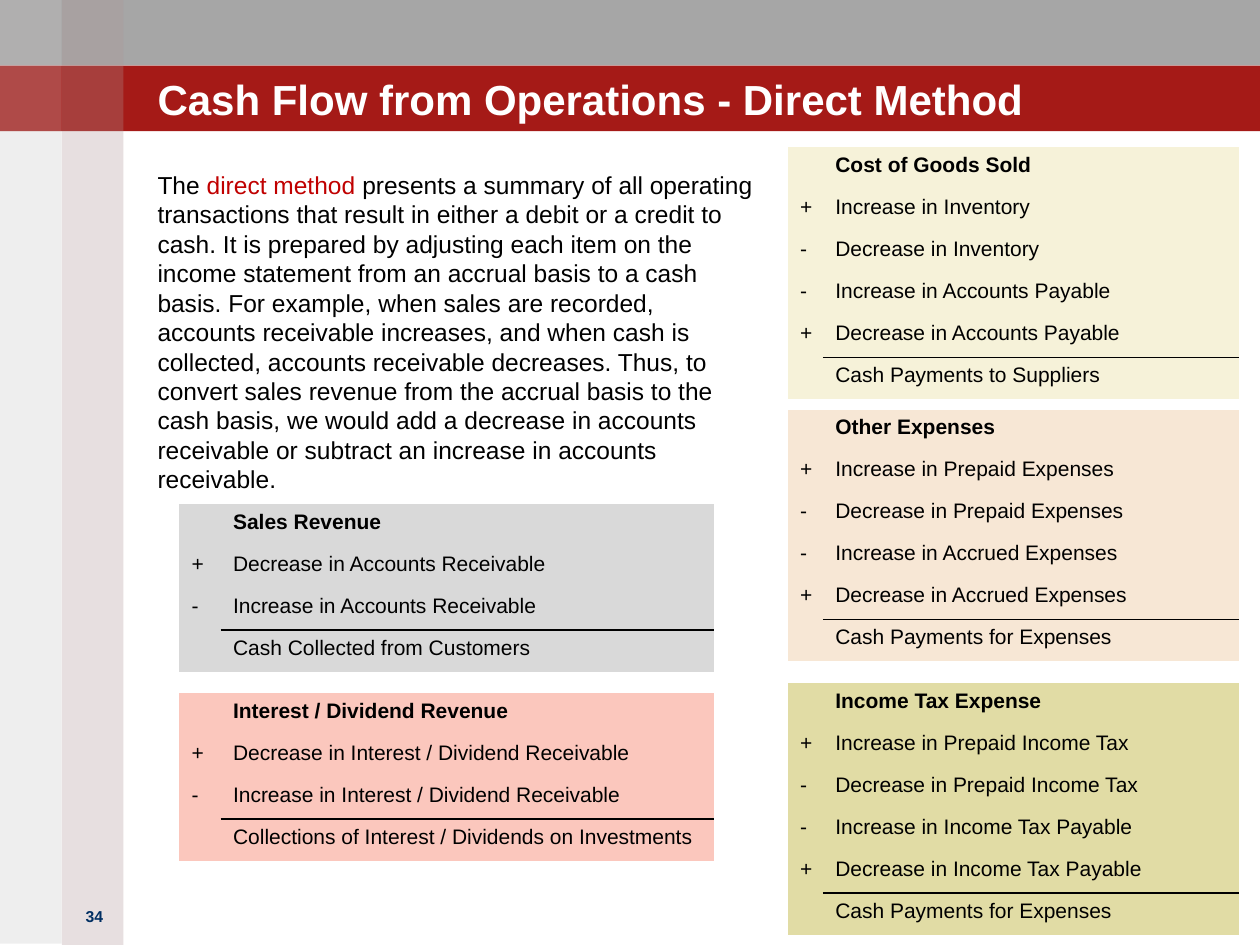
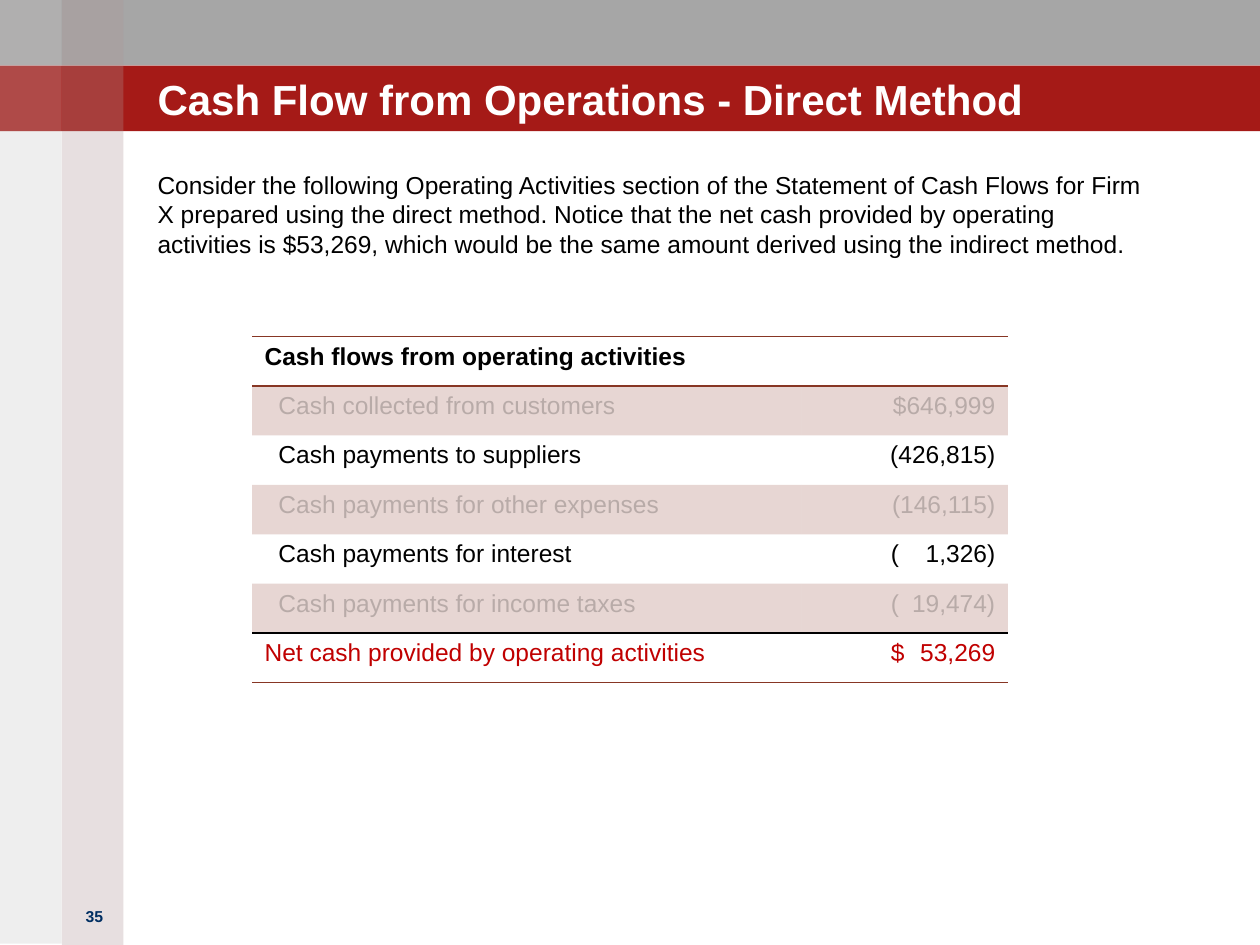
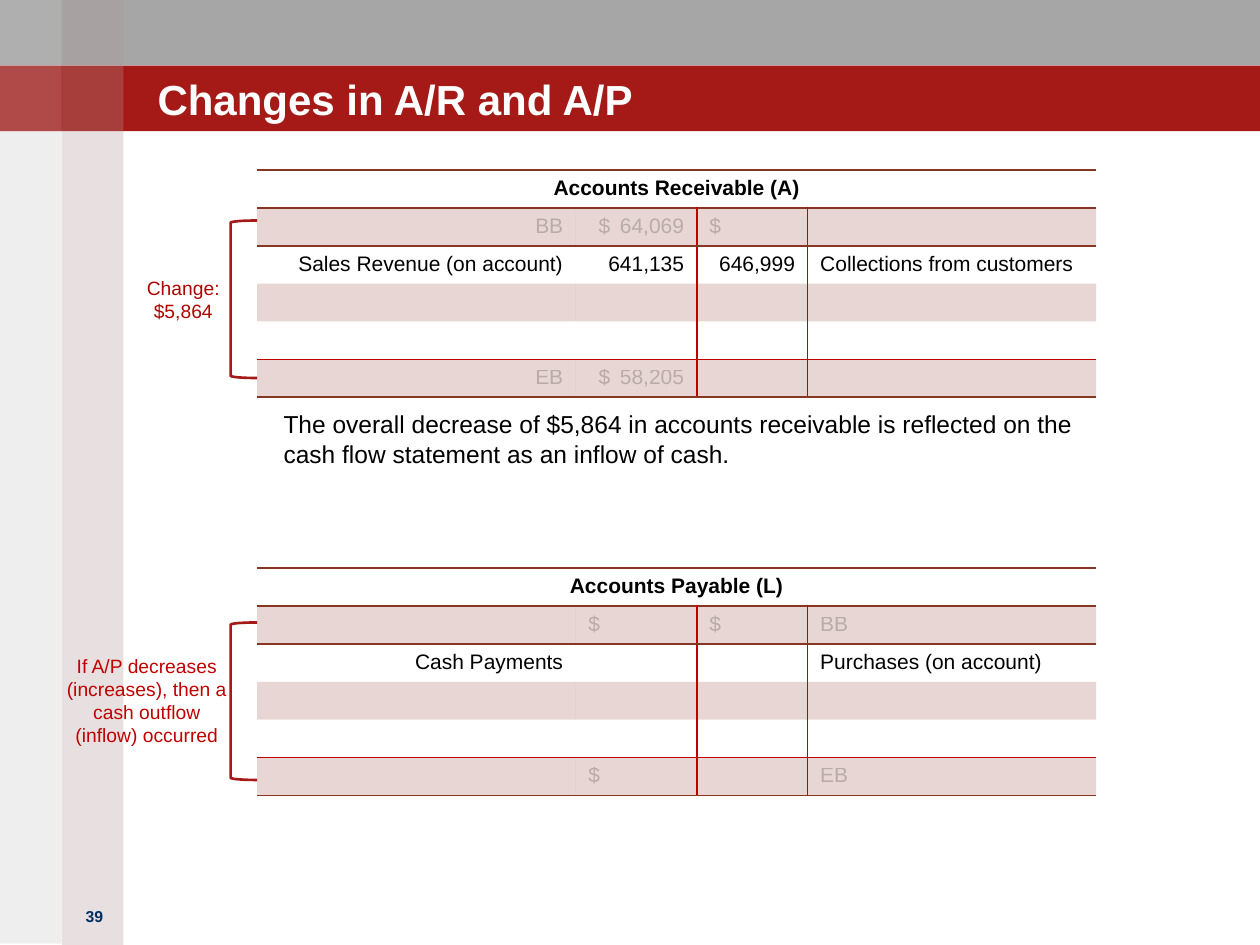
from lxml.etree import SubElement
from pptx import Presentation
from pptx.dml.color import RGBColor
from pptx.enum.shapes import MSO_SHAPE as SHAPE
from pptx.enum.text import MSO_ANCHOR as ANCHOR, PP_ALIGN as ALIGN
from pptx.oxml.ns import qn
from pptx.oxml.xmlchemy import OxmlElement
from pptx.util import Inches, Pt

# Shared look
COLORS = {
    "black": "000000", "white": "FFFFFF", "navy": "002E62",
    "band_grey": "A6A6A6", "band_red": "A51A17",
    "rose": "A08284", "stone": "938F8F",
    "red": "C00000", "label_red": "AF0501", "brown": "873624",
    "sales": "D9D9D9", "interest": "FBC7BD", "goods": "F6F2D9",
    "other": "F7E7D5", "tax": "E1DCA5",
}
FONT = "Arial"
NO_STYLE = "{2D5ABB26-0587-4C30-8999-92F81FD0307C}"
STRIPE = ("brown", 20)
INSET = 0.1

# Bands: left, top, width, height, colour, opacity in percent
STRIP, BAND = 0.49, 0.52
BANDS = [
    (0, 0, 10, BAND, "band_grey", 100),
    (0, BAND, 10, BAND, "band_red", 100),
    (STRIP, 0, STRIP, 7.5, "rose", 25),
    (0, 0, STRIP, 7.49, "stone", 15),
] + [(left, top, STRIP, BAND, "white", opacity)
     for top in (0, BAND) for left, opacity in ((STRIP, 5), (0, 15))]

# Slide contents
DIRECT_TITLE = "Cash Flow from Operations - Direct Method"
DIRECT_TEXT = [
    ("The ", "black"),
    ("direct method ", "red"),
    ("presents a summary of all operating transactions that result in either "
     "a debit or a credit to cash. It is prepared by adjusting each item on "
     "the income statement from an accrual basis to a cash basis. For example, "
     "when sales are recorded, accounts receivable increases, and when cash is "
     "collected, accounts receivable decreases. Thus, to convert sales revenue "
     "from the accrual basis to the cash basis, we would add a decrease in "
     "accounts receivable or subtract an increase in accounts receivable.", "black"),
]
LEFT_COLUMN = (1.42, (0.33, 3.92))
RIGHT_COLUMN = (6.25, (0.28, 3.3))
# Column, top, colour, heading, adjustments, result
CONVERSIONS = [
    (LEFT_COLUMN, 4, "sales", "Sales Revenue",
     [("+", "Decrease in Accounts Receivable"),
      ("-", "Increase in Accounts Receivable")],
     "Cash Collected from Customers"),
    (LEFT_COLUMN, 5.5, "interest", "Interest / Dividend Revenue",
     [("+", "Decrease in Interest / Dividend Receivable"),
      ("-", "Increase in Interest / Dividend Receivable")],
     "Collections of Interest / Dividends on Investments"),
    (RIGHT_COLUMN, 1.17, "goods", "Cost of Goods Sold",
     [("+", "Increase in Inventory"),
      ("-", "Decrease in Inventory"),
      ("-", "Increase in Accounts Payable"),
      ("+", "Decrease in Accounts Payable")],
     "Cash Payments to Suppliers"),
    (RIGHT_COLUMN, 3.25, "other", "Other Expenses",
     [("+", "Increase in Prepaid Expenses"),
      ("-", "Decrease in Prepaid Expenses"),
      ("-", "Increase in Accrued Expenses"),
      ("+", "Decrease in Accrued Expenses")],
     "Cash Payments for Expenses"),
    (RIGHT_COLUMN, 5.42, "tax", "Income Tax Expense",
     [("+", "Increase in Prepaid Income Tax"),
      ("-", "Decrease in Prepaid Income Tax"),
      ("-", "Increase in Income Tax Payable"),
      ("+", "Decrease in Income Tax Payable")],
     "Cash Payments for Expenses"),
]

STATEMENT_TEXT = (
    "Consider the following Operating Activities section of the Statement of "
    "Cash Flows for Firm X prepared using the direct method. Notice that the "
    "net cash provided by operating activities is $53,269, which would be the "
    "same amount derived using the indirect method.")
# A tab sets the opening sign apart from the right-aligned amount
STATEMENT = [
    ("Cash flows from operating activities", ""),
    ("Cash collected from customers", "$646,999"),
    ("Cash payments to suppliers", "(426,815)"),
    ("Cash payments for other expenses", "(146,115)"),
    ("Cash payments for interest", "(\t1,326)"),
    ("Cash payments for income taxes", "(\t19,474)"),
    ("Net cash provided by operating activities", "$\t53,269"),
]

CHANGES_TITLE = "Changes in A/R and A/P"
CHANGES_TEXT = (
    "The overall decrease of $5,864 in accounts receivable is reflected on "
    "the cash flow statement as an inflow of cash.")
BLANK = ("", "", "", "")
ACCOUNT_COLUMNS = (2.53, 0.96, 0.88, 2.29)
ACCOUNTS = [
    {"top": 1.35, "row": 0.29, "heading": "Accounts Receivable (A)",
     "rows": [("BB", "$\t64,069", "$", ""),
              ("Sales Revenue (on account)", "641,135", "646,999",
               "Collections from customers"),
              BLANK, BLANK,
              ("EB", "$\t58,205", "", "")],
     "bracket": 1.75, "label": "Change: $5,864",
     "label_at": (1.04, 2.14, 0.83, 0.47), "label_color": "label_red"},
    {"top": 4.51, "row": 0.3, "heading": "Accounts Payable (L)",
     "rows": [("", "$", "$", "BB"),
              ("Cash Payments", "", "", "Purchases (on account)"),
              BLANK, BLANK,
              ("", "$", "", "EB")],
     "bracket": 4.94,
     "label": "If A/P decreases (increases), then a cash outflow (inflow) occurred",
     "label_at": (0.42, 5.14, 1.49, 0.84), "label_color": "red"},
]


def rgb(name):
    return RGBColor.from_string(COLORS[name])


def inches(*lengths):
    return [Inches(length) for length in lengths]


def paint(fill, element, color, opacity=100):
    fill.solid()
    fill.fore_color.rgb = rgb(color)
    if opacity < 100:
        for tint in element.iter(qn("a:srgbClr")):
            SubElement(tint, qn("a:alpha"), val=str(opacity * 1000))


def add_run(paragraph, text, size, color="black", bold=False):
    run = paragraph.add_run()
    run.text = text
    style = {"name": FONT, "size": Pt(size), "bold": bold}
    for attribute, value in style.items():
        setattr(run.font, attribute, value)
    run.font.color.rgb = rgb(color)


def add_text(slide, at, runs, size, bold=False, align=ALIGN.LEFT, inset=(0, 0)):
    frame = slide.shapes.add_textbox(*inches(*at)).text_frame
    frame.word_wrap = True
    frame.margin_left = frame.margin_right = Inches(inset[0])
    frame.margin_top = frame.margin_bottom = Inches(inset[1])
    paragraph = frame.paragraphs[0]
    paragraph.alignment = align
    for text, color in runs:
        add_run(paragraph, text, size, color, bold)


def add_grid(slide, left, top, columns, row_height, row_count):
    frame = slide.shapes.add_table(
        row_count, len(columns),
        *inches(left, top, sum(columns), row_height * row_count))
    for style in frame.element.iter(qn("a:tableStyleId")):
        style.text = NO_STYLE
    grid = frame.table
    grid.first_row = grid.horz_banding = False
    for column, width in zip(grid.columns, columns):
        column.width = Inches(width)
    for row in grid.rows:
        row.height = Inches(row_height)
    return grid


def fill_cell(cell, text, size, fill=None, borders=None, align=ALIGN.LEFT,
              color="black", bold=False, left=INSET, tab=None):
    """Write one cell; tab is the right tab stop, measured from the left inset."""
    cell.margin_left = Inches(left)
    paragraph = cell.text_frame.paragraphs[0]
    paragraph.alignment = ALIGN.LEFT if tab else align
    if tab:
        cell.margin_right = Inches(INSET / 2)
        stops = SubElement(paragraph._p.get_or_add_pPr(), qn("a:tabLst"))
        SubElement(stops, qn("a:tab"), pos=str(Inches(tab)), algn="r")
    if text:
        add_run(paragraph, text, size, color, bold)
    else:
        SubElement(paragraph._p, qn("a:endParaRPr"), sz=str(size * 100))
    if fill:
        paint(cell.fill, cell._tc, *fill)
    else:
        cell.fill.background()
    borders = borders or {}
    sides = [side for side in "LRTB" if side in borders]
    for place, side in enumerate(sides):
        line = OxmlElement(f"a:ln{side}")
        line.set("w", str(Pt(1)))
        solid = SubElement(line, qn("a:solidFill"))
        SubElement(solid, qn("a:srgbClr"), val=COLORS[borders[side]])
        cell._tc.get_or_add_tcPr().insert(place, line)


def add_bands(slide, layout):
    """Draw the bands and hand them to the layout, so every slide shows them."""
    for left, top, width, height, color, opacity in BANDS:
        band = slide.shapes.add_shape(
            SHAPE.RECTANGLE, *inches(left, top, width, height))
        band.shadow.inherit = False
        band.line.fill.background()
        paint(band.fill, band.element, color, opacity)
        layout.shapes.element.append(band.element)


def add_slide(deck, layout, title, number):
    slide = deck.slides.add_slide(layout)
    heading = slide.shapes.title
    place = dict(zip(("left", "top", "width", "height"),
                     inches(1.25, 0.31, 8.25, 0.67)))
    for attribute, value in place.items():
        setattr(heading, attribute, value)
    frame = heading.text_frame
    insets = ("margin_left", "margin_right", "margin_top", "margin_bottom")
    for attribute, value in {"vertical_anchor": ANCHOR.BOTTOM, "word_wrap": True,
                             **dict.fromkeys(insets, 0)}.items():
        setattr(frame, attribute, value)
    frame.paragraphs[0].alignment = ALIGN.LEFT
    add_run(frame.paragraphs[0], title, 24, "white", True)
    add_text(slide, (0.5, 7.15, 0.5, 0.3), [(number, "navy")], 9, True,
             ALIGN.CENTER, (INSET, 0.05))
    return slide


def add_conversion(slide, column, top, color, heading, adjustments, result):
    left, widths = column
    rows = [("", heading), *adjustments, ("", result)]
    grid = add_grid(slide, left, top, widths, 1 / 3, len(rows))
    last = len(rows) - 1
    rules = {last - 1: {"B": "black"}, last: {"T": "black"}}
    for r, (sign, item) in enumerate(rows):
        fill_cell(grid.cell(r, 0), sign, 12, (color, 100))
        fill_cell(grid.cell(r, 1), item, 12, (color, 100), rules.get(r),
                  bold=r == 0)


def add_statement(slide):
    columns = (4.36, 1.64)
    grid = add_grid(slide, 2, 2.67, columns, 2.75 / 7, len(STATEMENT))
    last = len(STATEMENT) - 1
    rules = {0: {"T": "brown", "B": "brown"}, last - 1: {"B": "black"},
             last: {"T": "black", "B": "brown"}}
    sign_left = 0.71
    for r, (item, amount) in enumerate(STATEMENT):
        look = {"fill": STRIPE if r % 2 else None, "borders": rules.get(r),
                "color": "red" if r == last else "black"}
        fill_cell(grid.cell(r, 0), item, 14, bold=r == 0,
                  left=INSET if r in (0, last) else 0.21, **look)
        tabbed = {}
        if "\t" in amount:
            tabbed = {"left": sign_left, "tab": columns[1] - sign_left - INSET}
        fill_cell(grid.cell(r, 1), amount, 14, align=ALIGN.RIGHT, **tabbed, **look)


def add_account(slide, account):
    rows = account["rows"]
    grid = add_grid(slide, 2.04, account["top"], ACCOUNT_COLUMNS,
                    account["row"], len(rows) + 1)
    # Heading across all columns
    for c in range(4):
        fill_cell(grid.cell(0, c), account["heading"] if c == 0 else "", 12,
                  borders={"T": "brown", "B": "brown"}, align=ALIGN.CENTER, bold=True)
    grid.cell(0, 0).merge(grid.cell(0, 3))
    # Entries on both sides of the red rules
    last = len(rows)
    across = {1: {"T": "brown"}, last - 1: {"B": "red"},
              last: {"T": "red", "B": "brown"}}
    down = {1: {"R": "red"}, 2: {"L": "red", "R": "red"}, 3: {"L": "red"}}
    sign_left = 0.18
    for r, entries in enumerate(rows, 1):
        for c, text in enumerate(entries):
            align = ALIGN.LEFT if c == 3 or text == "$" else ALIGN.RIGHT
            tabbed = {}
            if "\t" in text:
                tabbed = {"left": sign_left,
                          "tab": ACCOUNT_COLUMNS[c] - sign_left - INSET}
            fill_cell(grid.cell(r, c), text, 12, STRIPE if r % 2 else None,
                      {**across.get(r, {}), **down.get(c, {})}, align, **tabbed)
    # Bracket from opening to closing balance, with its label
    bracket = slide.shapes.add_shape(
        SHAPE.LEFT_BRACKET, *inches(1.83, account["bracket"], 0.21, 1.25))
    bracket.shadow.inherit = False
    bracket.fill.background()
    bracket.line.color.rgb = rgb("band_red")
    bracket.line.width = Pt(1.5)
    add_text(slide, account["label_at"], [(account["label"], account["label_color"])],
             11, align=ALIGN.CENTER, inset=(INSET, 0.05))


def main():
    deck = Presentation()
    deck.slide_width, deck.slide_height = inches(10, 7.5)
    layout = deck.slide_layouts[5]

    # Direct method
    method = add_slide(deck, layout, DIRECT_TITLE, "34")
    add_bands(method, layout)
    add_text(method, (1.25, 1.35, 4.75, 2.6), DIRECT_TEXT, 14)
    for conversion in CONVERSIONS:
        add_conversion(method, *conversion)

    # Operating activities section
    statement = add_slide(deck, layout, DIRECT_TITLE, "35")
    add_text(statement, (1.25, 1.35, 7.92, 0.8), [(STATEMENT_TEXT, "black")], 14)
    add_statement(statement)

    # Receivable and payable accounts
    changes = add_slide(deck, layout, CHANGES_TITLE, "39")
    add_text(changes, (2.25, 3.25, 6.58, 0.6), [(CHANGES_TEXT, "black")], 14)
    for account in ACCOUNTS:
        add_account(changes, account)

    deck.save("out.pptx")


if __name__ == "__main__":
    main()
